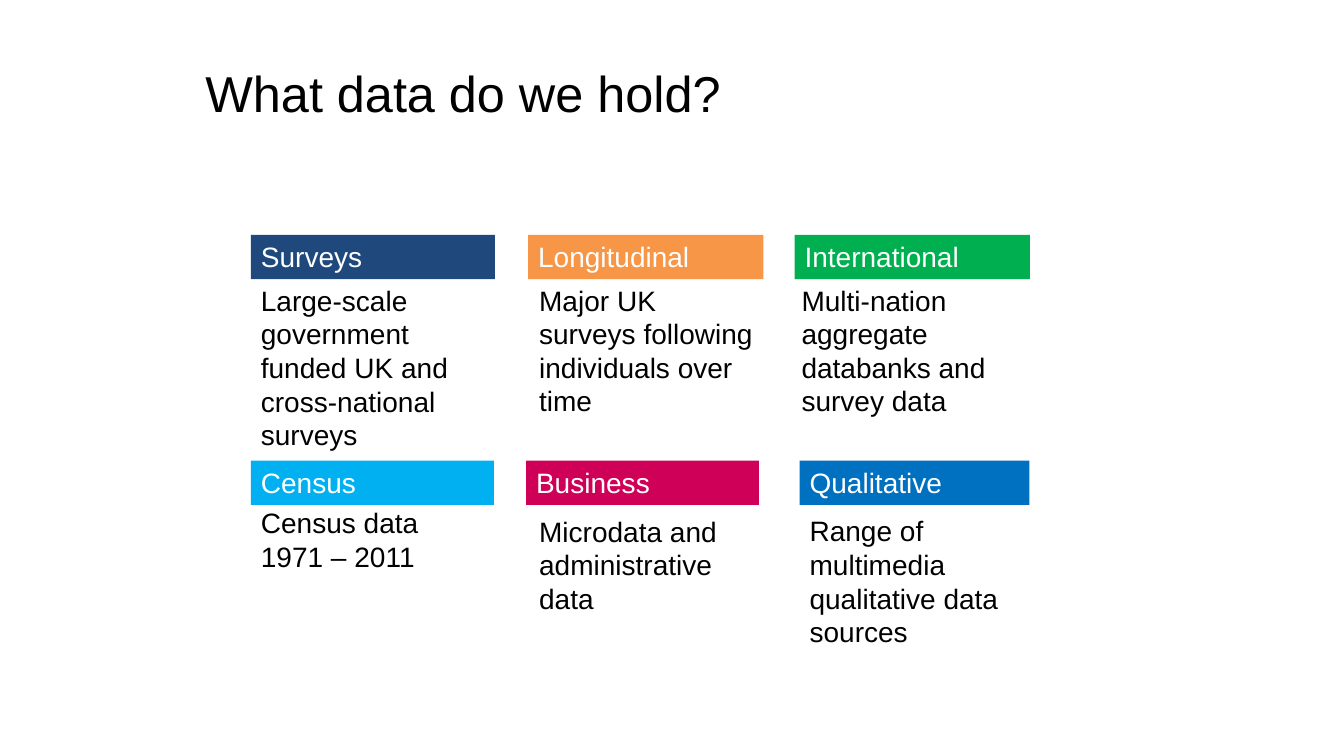
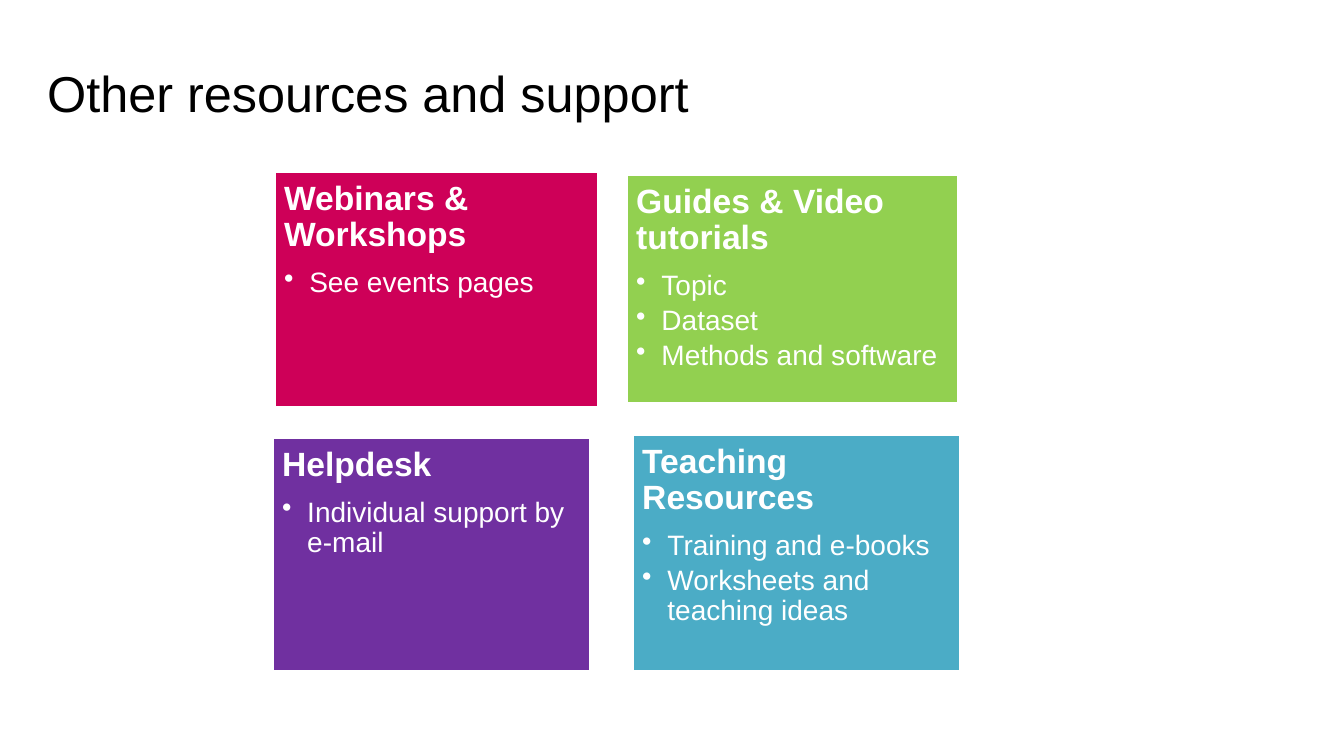
import pptx
import pptx.dml.color
import pptx.enum.shapes
import pptx.enum.text
import pptx.util
from lxml import etree

FONT = "Arial"
BLACK, WHITE, MAGENTA = "000000", "FFFFFF", "CE0058"
COLUMNS, ROWS = 40, 30
ANCHOR = pptx.enum.text.MSO_ANCHOR


def colour(hex_code):
    return pptx.dml.color.RGBColor.from_string(hex_code)


def write(frame, text, size=20, color=BLACK, bold=False, bullet=False,
          after=0, spacing=None, first=True):
    paragraph = frame.paragraphs[0] if first else frame.add_paragraph()
    paragraph.alignment = pptx.enum.text.PP_ALIGN.LEFT
    paragraph.space_after = pptx.util.Pt(after)
    paragraph.line_spacing = spacing
    run = paragraph.add_run()
    run.text = text
    run.font.name = FONT
    run.font.size = pptx.util.Pt(size)
    run.font.bold = bold
    run.font.color.rgb = colour(color)
    if bullet:
        properties = paragraph._p.get_or_add_pPr()
        indent = pptx.util.Inches(0.25)
        properties.set("marL", str(indent))
        properties.set("indent", str(-indent))
        mark = etree.SubElement(properties, pptx.oxml.ns.qn("a:buChar"))
        mark.set("char", "•")


class Deck:
    def __init__(self):
        self.show = pptx.Presentation()
        self.show.slide_width = pptx.util.Inches(13.33)
        self.show.slide_height = pptx.util.Inches(7.5)
        self.slide = None

    def place(self, column, row, width, height):
        across = self.show.slide_width / COLUMNS
        down = self.show.slide_height / ROWS
        return (round(column * across), round(row * down),
                round(width * across), round(height * down))

    def start(self, title, column, width):
        self.slide = self.show.slides.add_slide(self.show.slide_layouts[6])
        frame = self.label(column, 1.16, width, 5, title, size=36)
        frame.vertical_anchor = ANCHOR.MIDDLE

    def label(self, column, row, width, height, text, **style):
        box = self.slide.shapes.add_textbox(*self.place(column, row, width, height))
        box.text_frame.word_wrap = True
        write(box.text_frame, text, **style)
        return box.text_frame

    def block(self, column, row, width, height, fill, outline=None):
        block = self.slide.shapes.add_shape(
            pptx.enum.shapes.MSO_SHAPE.RECTANGLE,
            *self.place(column, row, width, height))
        block.shadow.inherit = False
        block.fill.solid()
        block.fill.fore_color.rgb = colour(fill)
        if outline:
            block.line.color.rgb = colour(outline)
            block.line.width = pptx.util.Pt(2)
        else:
            block.line.fill.background()
        frame = block.text_frame
        frame.word_wrap = True
        frame.vertical_anchor = ANCHOR.TOP
        return frame

    def collection(self, heading, fill, header, body, lines, summary):
        column, row, width = header
        write(self.block(column, row, width, 1.76, fill), heading, color=WHITE)
        self.label(*body, 0.4 + 1.34 * lines, summary)

    def card(self, place, fill, heading, points):
        frame = self.block(*place, fill, outline=WHITE)
        frame.margin_left = frame.margin_right = pptx.util.Inches(0.1)
        frame.margin_top = frame.margin_bottom = pptx.util.Inches(0.1)
        write(frame, heading, size=24, color=WHITE, bold=True, after=10, spacing=0.9)
        for point in points:
            write(frame, point, color=WHITE, bullet=True, after=3.6,
                  spacing=0.9, first=False)


UPPER, LOWER = 9.32, 18.28
UPPER_BODY, LOWER_BODY = 11.04, 20.2

COLLECTIONS = [
    ("Surveys", "1F497D", (7.47, UPPER, 7.26), (7.47, UPPER_BODY, 7.32), 5,
     "Large-scale government funded UK and cross-national surveys"),
    ("Longitudinal", "F79646", (15.72, UPPER, 7), (15.75, UPPER_BODY, 7.08), 4,
     "Major UK surveys following individuals over time"),
    ("International", "00B050", (23.65, UPPER, 7), (23.56, UPPER_BODY, 7.08), 4,
     "Multi-nation aggregate databanks and survey data"),
    ("Census", "00B0F0", (7.47, LOWER, 7.23), (7.47, 19.88, 7.32), 2,
     "Census data 1971 – 2011"),
    ("Business", MAGENTA, (15.66, LOWER, 6.93), (15.75, LOWER_BODY, 6.84), 3,
     "Microdata and administrative data"),
    ("Qualitative", "0070C0", (23.8, LOWER, 6.84), (23.8, LOWER_BODY, 6.84), 4,
     "Range of multimedia qualitative data sources"),
]

RESOURCES = [
    ((8.16, 6.8, 9.66, 9.36), MAGENTA, "Webinars & Workshops",
     ["See events pages"]),
    ((18.64, 6.92, 9.87, 9.08), "92D050", "Guides & Video tutorials",
     ["Topic", "Dataset", "Methods and software"]),
    ((8.1, 17.36, 9.48, 9.28), "7030A0", "Helpdesk",
     ["Individual support by e-mail"]),
    ((18.82, 17.24, 9.78, 9.4), "4BACC6", "Teaching Resources",
     ["Training and e-books", "Worksheets and teaching ideas"]),
]


def main():
    deck = Deck()
    deck.start("What data do we hold?", 5.82, 27)
    for collection in COLLECTIONS:
        deck.collection(*collection)
    deck.start("Other resources and support", 1.11, 36)
    for resource in RESOURCES:
        deck.card(*resource)
    deck.show.save("out.pptx")


if __name__ == "__main__":
    main()
